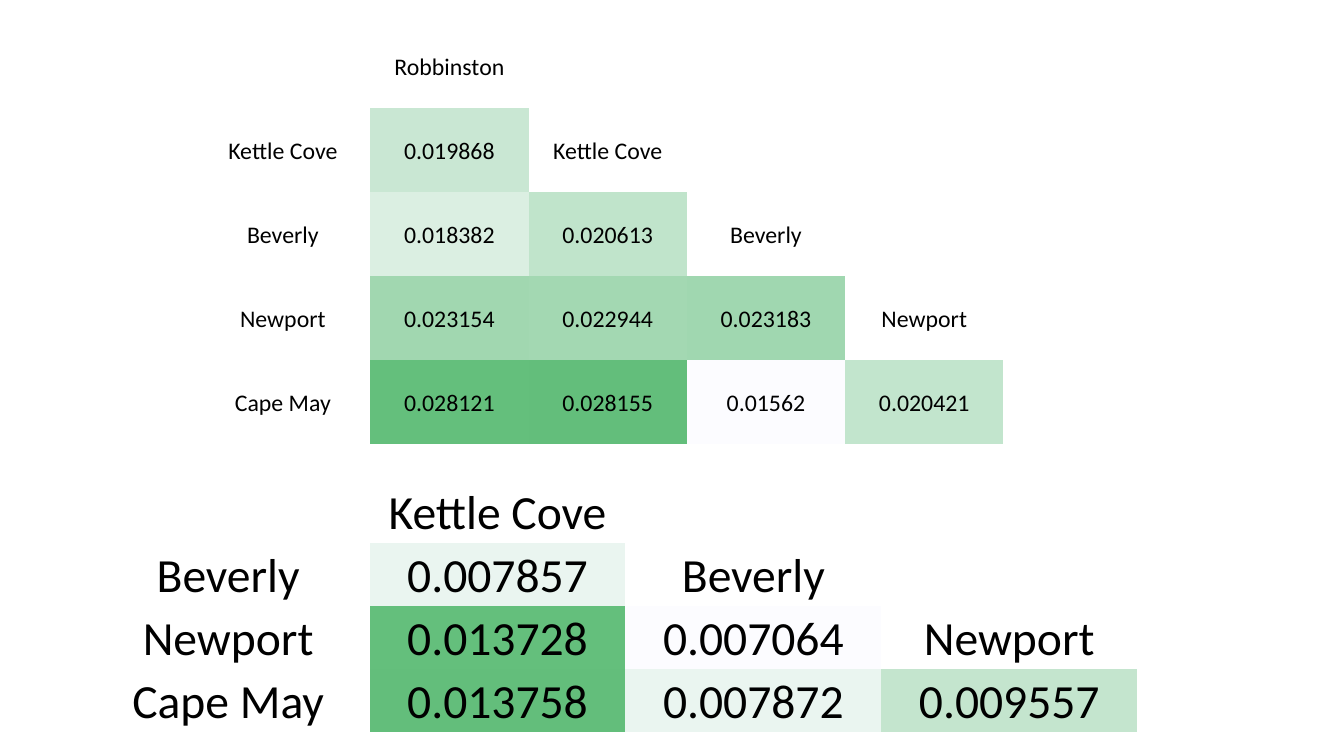
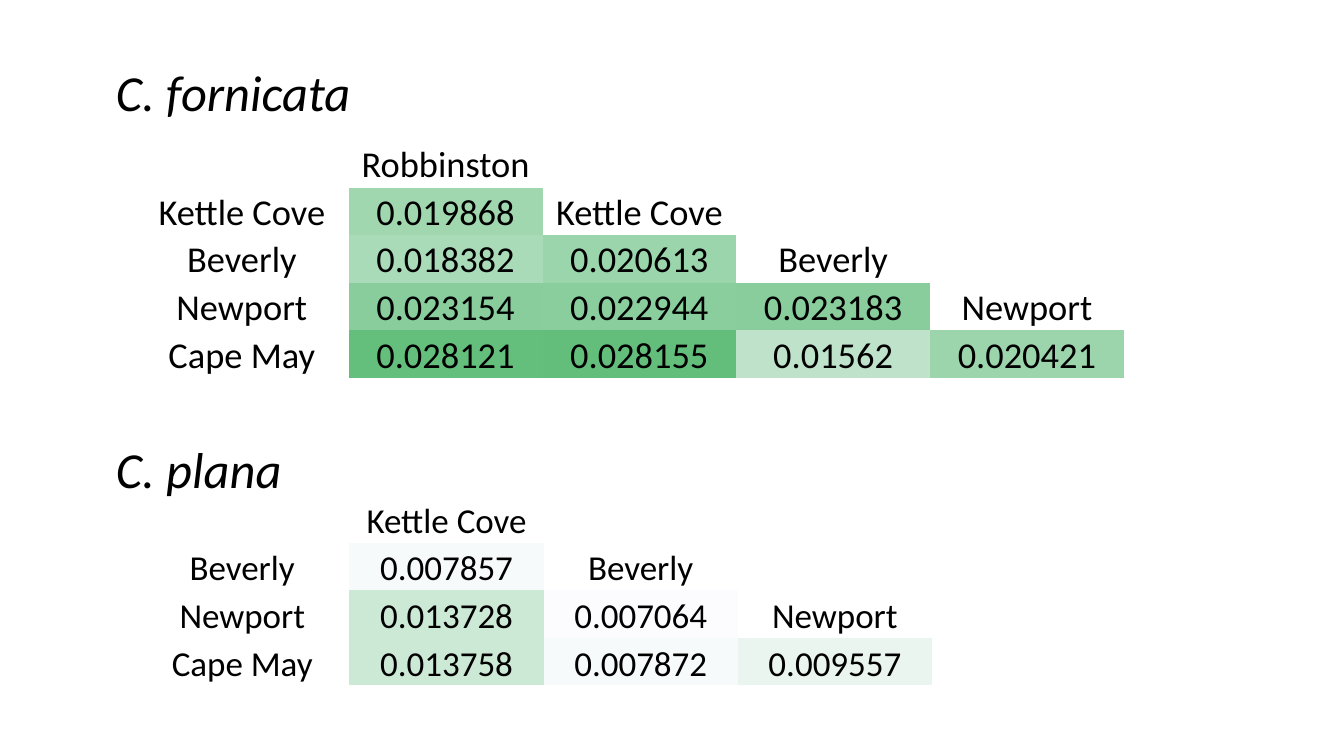
import math
from dataclasses import dataclass

import pptx
import pptx.dml.color
import pptx.enum.text
import pptx.util


@dataclass(frozen=True)
class Theme:
    font: str = "Calibri"
    ink: tuple[int, int, int] = (0, 0, 0)
    scale_low: tuple[int, int, int] = (252, 252, 255)
    scale_high: tuple[int, int, int] = (99, 190, 123)
    heading_size: int = 36
    cell_margin: float = 0.06
    plain_table: str = "{2D5ABB26-0587-4C30-8999-92F81FD0307C}"


@dataclass(frozen=True)
class Species:
    name: str
    sites: list[str]
    distances: list[list[float]]

    @property
    def values(self) -> list[float]:
        return [value for row in self.distances for value in row]


@dataclass(frozen=True)
class Matrix:
    species: Species
    left: float
    top: float
    label_width: float
    column_width: float
    row_height: float
    size: int
    anchor: pptx.enum.text.MSO_ANCHOR = pptx.enum.text.MSO_ANCHOR.BOTTOM


@dataclass(frozen=True)
class Heading:
    species: Species
    top: float
    left: float = 7.88
    width: float = 35.18
    height: float = 9.47


@dataclass(frozen=True)
class Page:
    matrices: list[Matrix]
    headings: list[Heading]
    shared_scale: bool


THEME = Theme()
SLIDE_WIDTH = pptx.util.Inches(13.33)
SLIDE_HEIGHT = pptx.util.Inches(7.5)

FORNICATA = Species(
    "C. fornicata",
    ["Robbinston", "Kettle Cove", "Beverly", "Newport", "Cape May"],
    [
        [0.019868],
        [0.018382, 0.020613],
        [0.023154, 0.022944, 0.023183],
        [0.028121, 0.028155, 0.01562, 0.020421],
    ],
)
PLANA = Species(
    "C. plana",
    ["Kettle Cove", "Beverly", "Newport", "Cape May"],
    [
        [0.007857],
        [0.013728, 0.007064],
        [0.013758, 0.007872, 0.009557],
    ],
)

PAGES = [
    Page(
        [
            Matrix(PLANA, 6.45, 63.47, 21.05, 19.04, 8.33, 34),
            Matrix(FORNICATA, 14.55, 3.2, 13, 11.78, 11.12, 17,
                   pptx.enum.text.MSO_ANCHOR.MIDDLE),
        ],
        [],
        shared_scale=False,
    ),
    Page(
        [
            Matrix(FORNICATA, 10.05, 18.53, 15.9, 14.42, 6.29, 26),
            Matrix(PLANA, 10.05, 65.47, 15.95, 14.45, 6.3, 25),
        ],
        [Heading(FORNICATA, 7.47), Heading(PLANA, 57.33)],
        shared_scale=True,
    ),
]


def across(percent: float) -> int:
    return round(SLIDE_WIDTH * percent / 100)


def down(percent: float) -> int:
    return round(SLIDE_HEIGHT * percent / 100)


def scale_color(value: float, scale: list[float]) -> pptx.dml.color.RGBColor:
    share = (value - min(scale)) / (max(scale) - min(scale))
    return pptx.dml.color.RGBColor(*(
        math.ceil(low + (high - low) * share)
        for low, high in zip(THEME.scale_low, THEME.scale_high)
    ))


def add_span(para, text: str, size: int, italic: bool = False) -> None:
    span = para.add_run()
    span.text = text
    span.font.name = THEME.font
    span.font.size = pptx.util.Pt(size)
    span.font.italic = italic
    span.font.color.rgb = pptx.dml.color.RGBColor(*THEME.ink)


def cell_text(species: Species, row: int, column: int) -> str:
    if column == 0:
        return species.sites[row] if row else ""
    if column == row + 1:
        return species.sites[row]
    return f"{species.distances[row - 1][column - 1]:g}" if column <= row else ""


def draw_matrix(slide, matrix: Matrix, scale: list[float]) -> None:
    species = matrix.species
    count = len(species.sites)
    table = slide.shapes.add_table(
        count, count, across(matrix.left), down(matrix.top),
        across(matrix.label_width + (count - 1) * matrix.column_width),
        down(count * matrix.row_height),
    ).table
    table.first_row = table.horz_banding = False
    table._tbl.tblPr[0].text = THEME.plain_table
    for column in range(count):
        width = matrix.column_width if column else matrix.label_width
        table.columns[column].width = across(width)
    margin = pptx.util.Pt(matrix.size * THEME.cell_margin)
    for row in range(count):
        table.rows[row].height = down(matrix.row_height)
        for column in range(count):
            cell = table.cell(row, column)
            cell.margin_left = cell.margin_right = cell.margin_top = margin
            cell.margin_bottom = 0
            cell.vertical_anchor = matrix.anchor
            if 0 < column <= row:
                cell.fill.solid()
                cell.fill.fore_color.rgb = scale_color(
                    species.distances[row - 1][column - 1], scale)
            else:
                cell.fill.background()
            text = cell_text(species, row, column)
            if text:
                para = cell.text_frame.paragraphs[0]
                para.alignment = pptx.enum.text.PP_ALIGN.CENTER
                add_span(para, text, matrix.size)


def draw_heading(slide, heading: Heading) -> None:
    box = slide.shapes.add_textbox(
        across(heading.left), down(heading.top),
        across(heading.width), down(heading.height))
    frame = box.text_frame
    frame.word_wrap = True
    frame.auto_size = pptx.enum.text.MSO_AUTO_SIZE.SHAPE_TO_FIT_TEXT
    add_span(frame.paragraphs[0], heading.species.name, THEME.heading_size, italic=True)


def main() -> None:
    deck = pptx.Presentation()
    deck.slide_width = SLIDE_WIDTH
    deck.slide_height = SLIDE_HEIGHT
    for page in PAGES:
        slide = deck.slides.add_slide(deck.slide_layouts[6])
        pooled = [value for matrix in page.matrices for value in matrix.species.values]
        for matrix in page.matrices:
            draw_matrix(slide, matrix, pooled if page.shared_scale else matrix.species.values)
        for heading in page.headings:
            draw_heading(slide, heading)
    deck.save("out.pptx")


if __name__ == "__main__":
    main()
